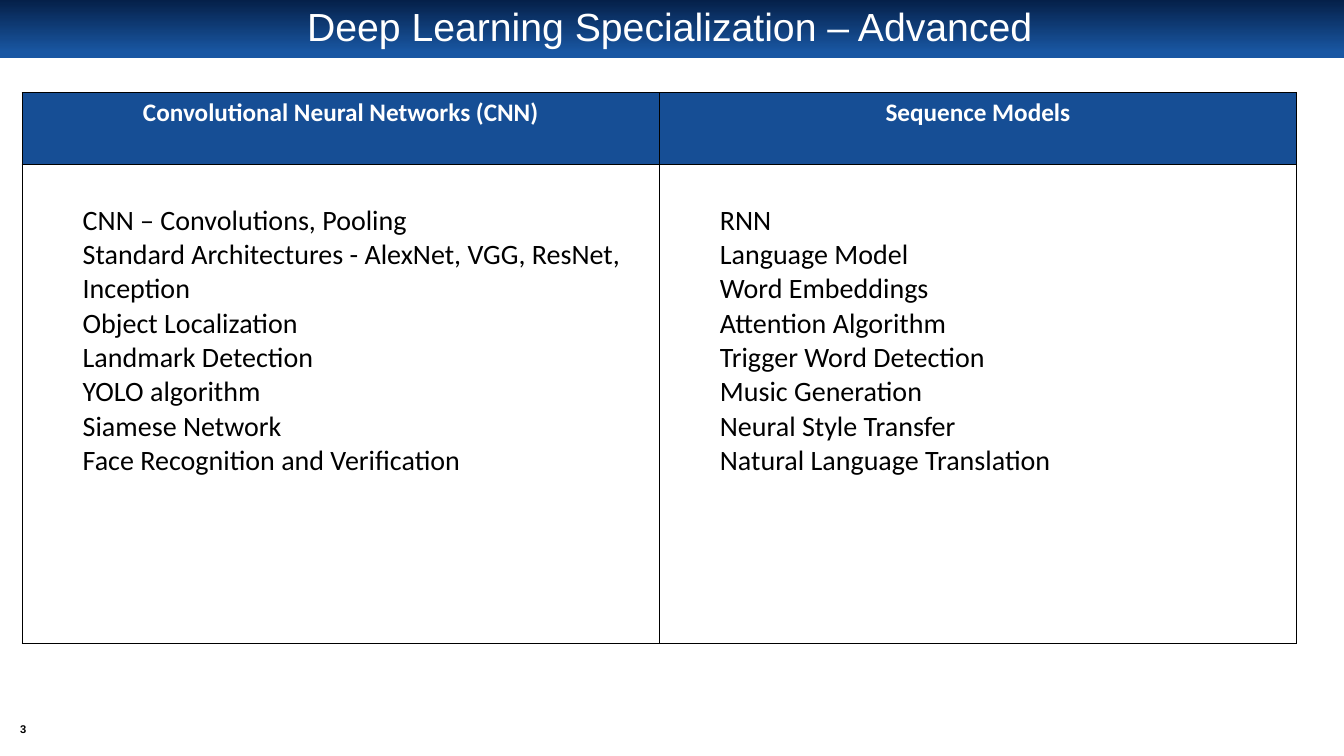
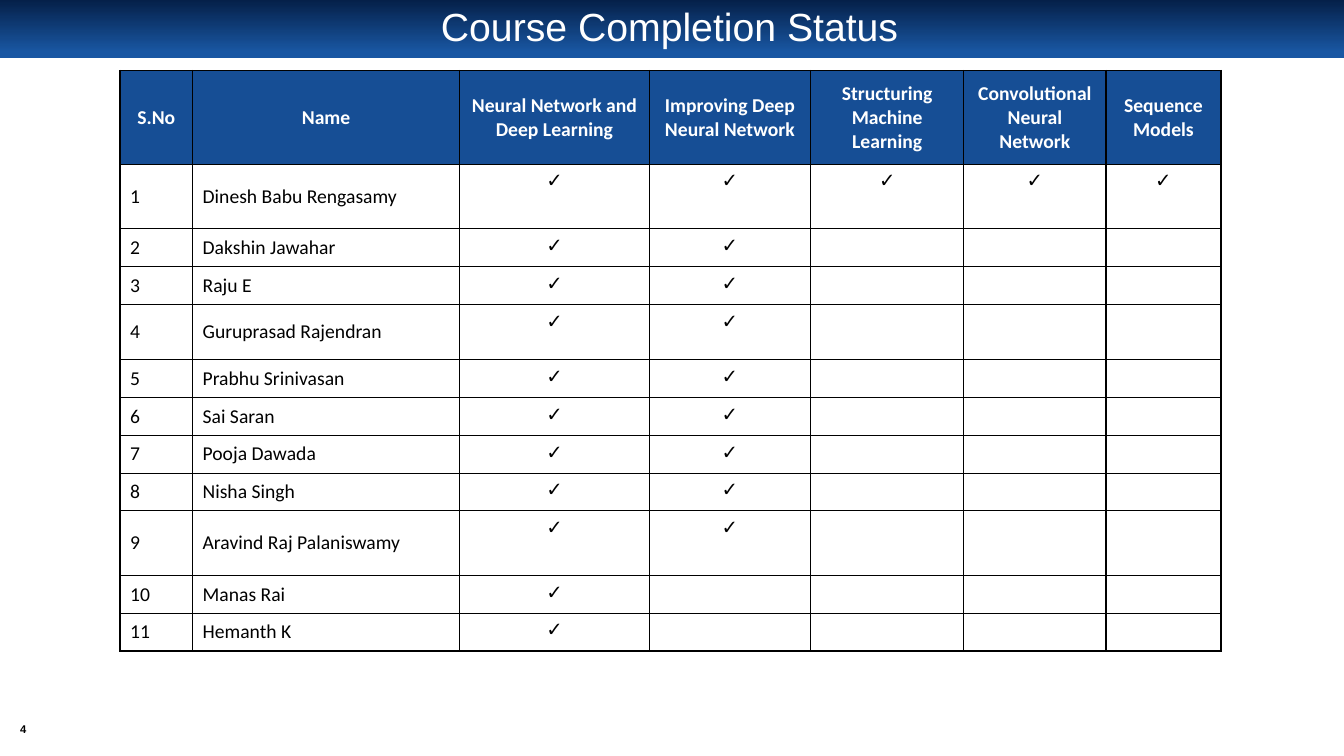
from pptx import Presentation, util as u
from pptx.dml.color import RGBColor
from pptx.enum import shapes, text
from pptx.oxml import parse_xml
from pptx.oxml.ns import nsdecls

MIDDLE, TOP = text.MSO_ANCHOR.MIDDLE, text.MSO_ANCHOR.TOP
LEFT, CENTER = text.PP_ALIGN.LEFT, text.PP_ALIGN.CENTER


def rgb(value):
    return RGBColor.from_string(value)


class Deck:
    WHITE, BLACK = "FFFFFF", "000000"
    BLUE, BAND_TOP, BAND_BOTTOM = "164E95", "052049", "1957A3"
    TITLE_FONT, TABLE_FONT = "Arial", "Calibri"

    def __init__(self):
        self.file = Presentation()
        self.file.slide_width = u.Inches(13.33)
        self.file.slide_height = u.Inches(7.5)
        self.page = None

    def add_page(self, title, number):
        self.page = self.file.slides.add_slide(self.file.slide_layouts[5])
        self.add_band()
        self.add_title(title)
        self.add_number(number)

    def add_band(self):
        """Draw the title band behind everything else on the page."""
        band = self.page.shapes.add_shape(
            shapes.MSO_SHAPE.RECTANGLE, 0, 0, self.file.slide_width, u.Inches(0.58))
        band.shadow.inherit = False
        band.line.fill.background()
        band.fill.gradient()
        band.fill.gradient_angle = 270
        stops = zip(band.fill.gradient_stops,
                    [(0, self.BAND_TOP), (0.9, self.BAND_BOTTOM)])
        for stop, (position, color) in stops:
            stop.position = position
            stop.color.rgb = rgb(color)
        self.page.shapes.element.insert(2, band.element)

    def style(self, para, font, size, color, bold=False, align=CENTER):
        para.alignment = align
        para.font.name = font
        para.font.size = u.Pt(size)
        para.font.bold = bold
        para.font.color.rgb = rgb(color)

    def add_title(self, title):
        box = self.page.shapes.title
        box.left, box.top = u.Inches(0.66), u.Inches(0.06)
        box.width, box.height = u.Inches(11.96), u.Inches(0.45)
        frame = box.text_frame
        frame.text = title
        frame.auto_size = text.MSO_AUTO_SIZE.NONE
        frame.vertical_anchor = MIDDLE
        frame.paragraphs[0].line_spacing = 0.9
        self.style(frame.paragraphs[0], self.TITLE_FONT, 28, self.WHITE)

    def add_number(self, number):
        box = self.page.shapes.add_textbox(
            u.Inches(0.08), u.Inches(7.14), u.Inches(0.3), u.Inches(0.19))
        frame = box.text_frame
        frame.margin_left = frame.margin_right = 0
        frame.margin_top = frame.margin_bottom = 0
        frame.vertical_anchor = MIDDLE
        frame.word_wrap = False
        frame.text = str(number)
        self.style(frame.paragraphs[0], self.TITLE_FONT, 8, self.BLACK, bold=True)

    def add_table(self, left, top, columns, rows):
        frame = self.page.shapes.add_table(
            len(rows), len(columns), u.Inches(left), u.Inches(top),
            u.Inches(sum(columns)), u.Inches(sum(rows)))
        table = frame.table
        table.horz_banding = False
        for column, width in zip(table.columns, columns):
            column.width = u.Inches(width)
        for row, height in zip(table.rows, rows):
            row.height = u.Inches(height)
        return table

    def add_borders(self, cell):
        properties = cell._tc.get_or_add_tcPr()
        for side in "LRTB":
            properties.append(parse_xml(
                f'<a:ln{side} {nsdecls("a")} w="12700"><a:solidFill>'
                f'<a:srgbClr val="{self.BLACK}"/></a:solidFill></a:ln{side}>'))

    def fill_cell(self, cell, words, size, header=False, align=LEFT, anchor=MIDDLE):
        self.add_borders(cell)
        cell.fill.solid()
        cell.fill.fore_color.rgb = rgb(self.BLUE if header else self.WHITE)
        cell.vertical_anchor = anchor
        if not words:
            cell.margin_top = cell.margin_bottom = 0
            return
        cell.text = words
        for para in cell.text_frame.paragraphs:
            self.style(para, self.TABLE_FONT, size,
                       self.WHITE if header else self.BLACK, header, align)


TOPICS = {
    "Convolutional Neural Networks (CNN)": [
        "CNN – Convolutions, Pooling",
        "Standard Architectures - AlexNet, VGG, ResNet, Inception",
        "Object Localization",
        "Landmark Detection",
        "YOLO algorithm",
        "Siamese Network",
        "Face Recognition and Verification",
    ],
    "Sequence Models": [
        "RNN",
        "Language Model",
        "Word Embeddings",
        "Attention Algorithm",
        "Trigger Word Detection",
        "Music Generation",
        "Neural Style Transfer",
        "Natural Language Translation",
    ],
}

STATUS_HEADERS = [
    "S.No", "Name", "Neural Network and Deep Learning",
    "Improving Deep Neural Network", "Structuring Machine Learning",
    "Convolutional Neural Network", "Sequence Models",
]

# Name and number of courses completed
LEARNERS = [
    ("Dinesh Babu Rengasamy", 5),
    ("Dakshin Jawahar", 2),
    ("Raju E", 2),
    ("Guruprasad Rajendran", 2),
    ("Prabhu Srinivasan", 2),
    ("Sai Saran", 2),
    ("Pooja Dawada", 2),
    ("Nisha Singh", 2),
    ("Aravind Raj Palaniswamy", 2),
    ("Manas Rai", 1),
    ("Hemanth K", 1),
]
STATUS_HEIGHT = 5.76
TALL_ROWS = {0: 0.93, 1: 0.64, 4: 0.55, 9: 0.64}


def add_topics(deck):
    deck.add_page("Deep Learning Specialization – Advanced", 3)
    table = deck.add_table(0.22, 0.92, [6.32, 6.32], [0.71, 4.75])
    for column, (heading, topics) in enumerate(TOPICS.items()):
        deck.fill_cell(table.cell(0, column), heading, 18,
                       header=True, align=CENTER, anchor=TOP)
        body = table.cell(1, column)
        deck.fill_cell(body, "\n".join(topics), 20, anchor=TOP)
        body.margin_left = u.Inches(0.6)
        body.margin_top = u.Inches(0.39)


def add_status(deck):
    deck.add_page("Course Completion Status", 4)
    row_count = len(LEARNERS) + 1
    short = (STATUS_HEIGHT - sum(TALL_ROWS.values())) / (row_count - len(TALL_ROWS))
    heights = [TALL_ROWS.get(row, short) for row in range(row_count)]
    table = deck.add_table(
        1.19, 0.7, [0.72, 2.65, 1.88, 1.6, 1.52, 1.41, 1.14], heights)
    for column, heading in enumerate(STATUS_HEADERS):
        deck.fill_cell(table.cell(0, column), heading, 14, header=True, align=CENTER)
    courses = len(STATUS_HEADERS) - 2
    for number, (name, completed) in enumerate(LEARNERS, 1):
        deck.fill_cell(table.cell(number, 0), str(number), 14)
        deck.fill_cell(table.cell(number, 1), name, 14)
        for course in range(courses):
            mark = "✓" if course < completed else ""
            deck.fill_cell(table.cell(number, course + 2), mark, 14,
                           align=CENTER, anchor=TOP)


def main():
    deck = Deck()
    add_topics(deck)
    add_status(deck)
    deck.file.save("out.pptx")


if __name__ == "__main__":
    main()
